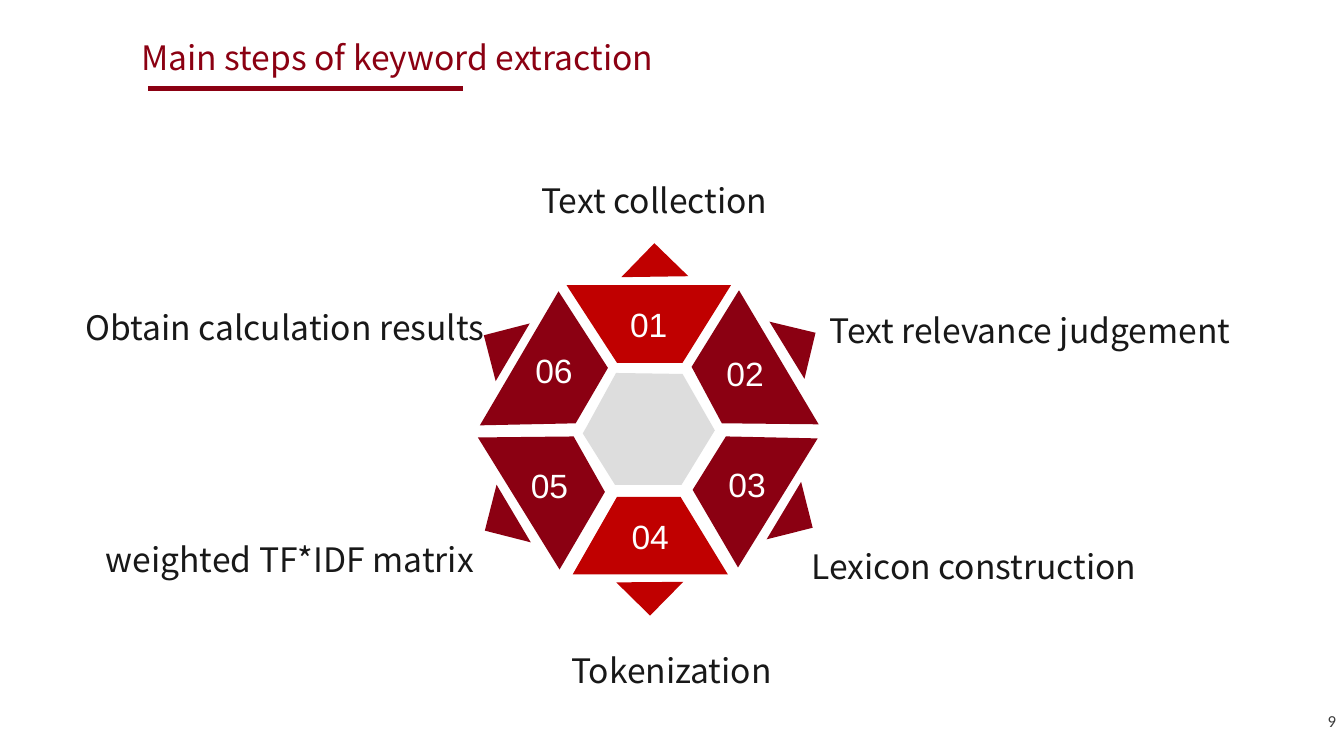
from dataclasses import dataclass

from pptx import Presentation
from pptx import util as u
from pptx.dml.color import RGBColor
from pptx.enum import shapes, text

PX = u.Inches(1) // 100  # one px is a hundredth of an inch


@dataclass(frozen=True)
class Theme:
    dark: str = "8B0012"
    bright: str = "C00000"
    hub: str = "DDDDDD"
    ink: str = "181818"
    number: str = "FFFFFF"
    page_number: str = "3C3C3C"
    label_font: str = "Noto Sans CJK SC"
    number_font: str = "Arial"
    page_font: str = "Calibri"
    body_size: int = 24
    page_size: int = 12


THEME = Theme()
TITLE = "Main steps of keyword extraction"
PAGE_NUMBER = "9"
TRIANGLE = 47
LABEL_HEIGHT = 64

# label: left, top, width; insets: left, top, right, bottom; arrow: left, top, degrees
STEPS = [
    dict(name="Text collection", label=(512, 154, 274), fill=THEME.bright,
         outline=[(562, 283), (725, 283), (677, 360), (612, 360)],
         insets=(0, 0, 0, 0), arrow=(626, 251, 134.2)),
    dict(name="Text relevance judgement", label=(804, 283, 435), fill=THEME.dark,
         outline=[(733, 288), (812, 421), (716, 420), (686, 364)],
         insets=(0, 31, 20, 0), arrow=(757, 324, 193.5)),
    dict(name="Lexicon construction", label=(786, 517, 360), fill=THEME.dark,
         outline=[(720, 433), (687, 486), (732, 563), (811, 435)],
         insets=(0, 0, 16, 28), arrow=(754, 483, 255.9), spacing=0.8),
    dict(name="Tokenization", label=(529, 620, 274), fill=THEME.bright,
         outline=[(612, 493), (675, 493), (722, 570), (568, 570)],
         insets=(0, 0, 0, 0), arrow=(621, 554, 314.5)),
    dict(name="weighted TF*IDF matrix", label=(70, 510, 435), fill=THEME.dark,
         outline=[(569, 433), (600, 488), (555, 565), (474, 434)],
         insets=(16, 0, 0, 35), arrow=(486, 486, 14.3)),
    dict(name="Obtain calculation results", label=(49, 280, 467), fill=THEME.dark,
         outline=[(554, 289), (603, 365), (571, 420), (476, 422)],
         insets=(20, 31, 0, 0), arrow=(485, 326, 75.5), spacing=0.8),
]
HUB = [(611, 370), (582, 423), (578, 430), (610, 481), (676, 481), (709, 427), (677, 371)]
UNDERLINE = [(147, 85), (459, 85), (459, 90), (147, 90)]


def px(*lengths):
    return [length * PX for length in lengths]


def paint(shape, color):
    shape.shadow.inherit = False
    shape.fill.solid()
    shape.fill.fore_color.rgb = RGBColor.from_string(color)
    shape.line.fill.background()
    return shape


def add_polygon(page, points, color):
    builder = page.shapes.build_freeform(*points[0], scale=PX)
    builder.add_line_segments(points[1:], close=True)
    return paint(builder.convert_to_shape(), color)


def write(box, words, font, size, color, align, spacing=1.0):
    para = box.text_frame.paragraphs[0]
    para.alignment = align
    para.line_spacing = spacing
    span = para.add_run()
    span.text = words
    span.font.name = font
    span.font.size = u.Pt(size)
    span.font.color.rgb = RGBColor.from_string(color)


def add_wedge(page, number, step):
    wedge = add_polygon(page, step["outline"], step["fill"])
    frame = wedge.text_frame
    frame.vertical_anchor = text.MSO_ANCHOR.MIDDLE
    (frame.margin_left, frame.margin_top,
     frame.margin_right, frame.margin_bottom) = px(*step["insets"])
    write(wedge, f"{number:02}", THEME.number_font, THEME.body_size, THEME.number,
          text.PP_ALIGN.CENTER, step.get("spacing", 1.0))


def add_arrow(page, step):
    left, top, degrees = step["arrow"]
    arrow = page.shapes.add_shape(shapes.MSO_SHAPE.RIGHT_TRIANGLE,
                                  *px(left, top, TRIANGLE, TRIANGLE))
    arrow.rotation = degrees
    paint(arrow, step["fill"])


def add_label(page, step):
    box = page.shapes.add_textbox(*px(*step["label"], LABEL_HEIGHT))
    box.text_frame.word_wrap = True
    box.text_frame.auto_size = text.MSO_AUTO_SIZE.SHAPE_TO_FIT_TEXT
    write(box, step["name"], THEME.label_font, THEME.body_size, THEME.ink,
          text.PP_ALIGN.CENTER, 1.5)


def add_title(page):
    title = page.shapes.title
    title.left, title.top, title.width, title.height = px(130, 32, 718, 50)
    title.text_frame.vertical_anchor = text.MSO_ANCHOR.TOP
    title.text_frame.auto_size = text.MSO_AUTO_SIZE.SHAPE_TO_FIT_TEXT
    write(title, TITLE, THEME.label_font, THEME.body_size, THEME.dark, text.PP_ALIGN.LEFT)
    add_polygon(page, UNDERLINE, THEME.dark)


def add_page_number(page):
    box = page.shapes.add_textbox(*px(1178, 695, 157, 40))
    box.text_frame.word_wrap = True
    box.text_frame.vertical_anchor = text.MSO_ANCHOR.MIDDLE
    write(box, PAGE_NUMBER, THEME.page_font, THEME.page_size, THEME.page_number,
          text.PP_ALIGN.RIGHT)


def main():
    deck = Presentation()
    deck.slide_width, deck.slide_height = px(1333, 750)
    page = deck.slides.add_slide(deck.slide_layouts[5])
    add_title(page)
    add_polygon(page, HUB, THEME.hub)
    for number, step in enumerate(STEPS, start=1):
        add_wedge(page, number, step)
        add_arrow(page, step)
        add_label(page, step)
    add_page_number(page)
    deck.save("out.pptx")


if __name__ == "__main__":
    main()
